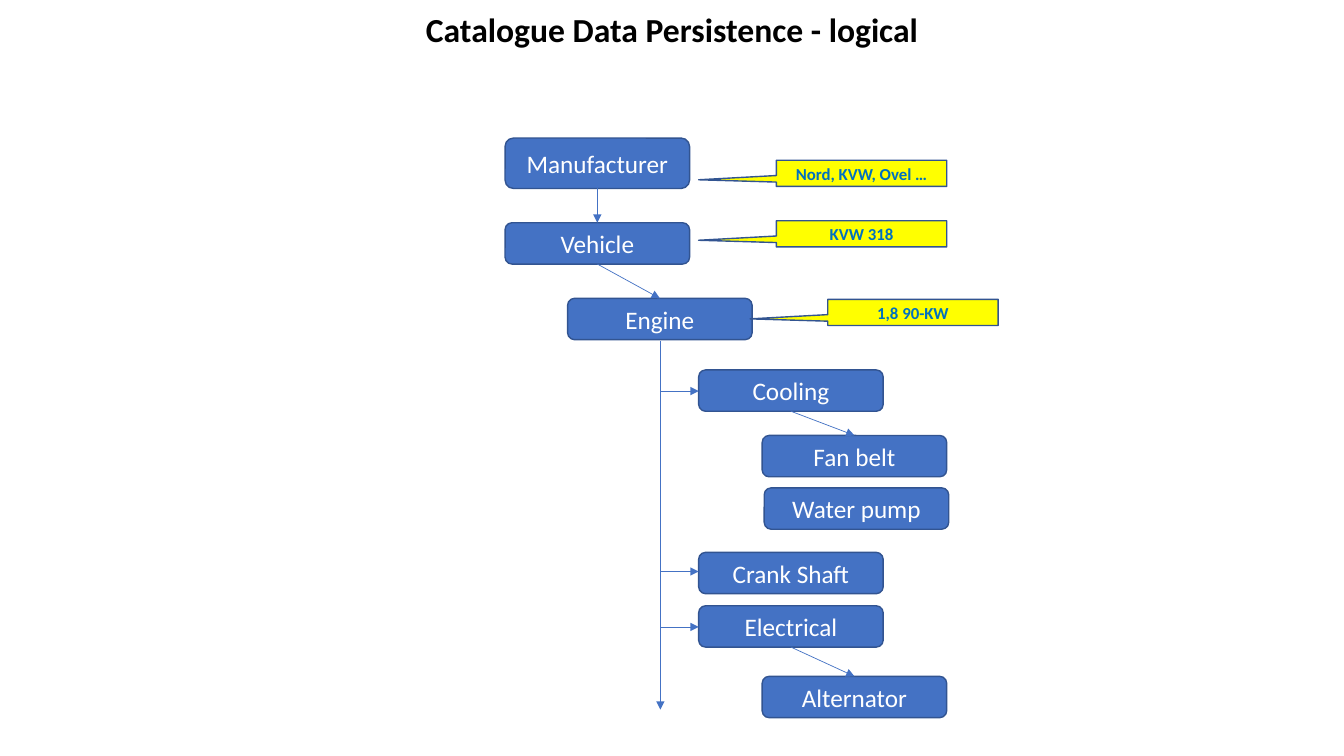
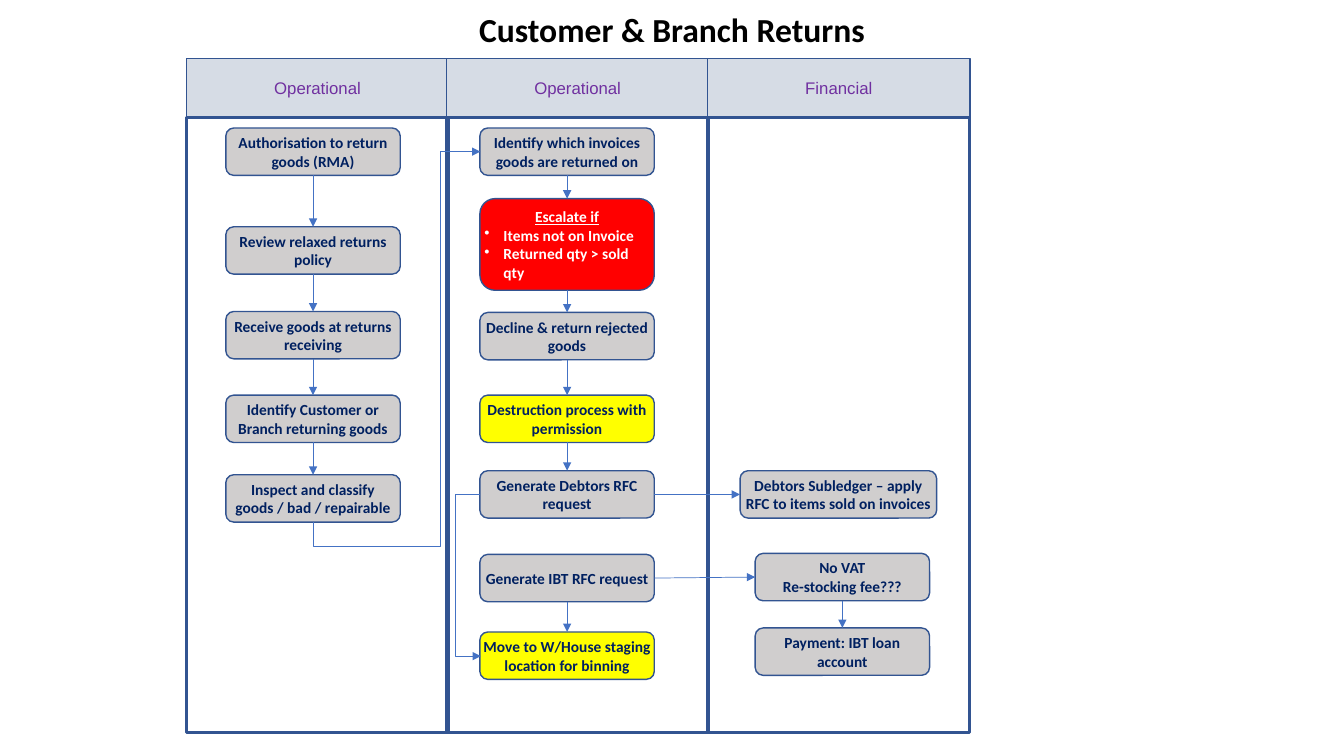
"""Build two slides: a catalogue hierarchy and a returns flow chart."""
from itertools import pairwise

from lxml import etree
from pptx import Presentation
from pptx import util as u
from pptx.dml.color import RGBColor
from pptx.enum import shapes, text
from pptx.oxml import ns

BLACK = RGBColor(0x00, 0x00, 0x00)
WHITE = RGBColor(0xFF, 0xFF, 0xFF)
BLUE = RGBColor(0x44, 0x72, 0xC4)
OUTLINE = RGBColor(0x32, 0x54, 0x91)
SKY = RGBColor(0x00, 0x70, 0xC0)
NAVY = RGBColor(0x00, 0x20, 0x60)
PURPLE = RGBColor(0x70, 0x30, 0xA0)
PALE = RGBColor(0xD6, 0xDC, 0xE5)
GREY = RGBColor(0xD0, 0xCE, 0xCE)
YELLOW = RGBColor(0xFF, 0xFF, 0x00)
RED = RGBColor(0xFF, 0x00, 0x00)

ROUNDED = shapes.MSO_SHAPE.ROUNDED_RECTANGLE
STRAIGHT = shapes.MSO_CONNECTOR.STRAIGHT
ELBOW = shapes.MSO_CONNECTOR.ELBOW
TOP, LEFT, BOTTOM, RIGHT = range(4)


def add_box(slide, kind, place, fill, words="", size=11, color=NAVY,
            bold=False, font="Calibri", side_inset=0.1, line_width=1):
    shape = slide.shapes.add_shape(kind, *map(u.Inches, place))
    shape.shadow.inherit = False
    if fill is None:
        shape.fill.background()
    else:
        shape.fill.solid()
        shape.fill.fore_color.rgb = fill
    shape.line.color.rgb = OUTLINE
    shape.line.width = u.Pt(line_width)
    frame = shape.text_frame
    frame.word_wrap = True
    frame.vertical_anchor = text.MSO_ANCHOR.MIDDLE
    frame.margin_left = frame.margin_right = u.Inches(side_inset)
    frame.text = words
    for paragraph in frame.paragraphs:
        paragraph.alignment = text.PP_ALIGN.CENTER
        paragraph.font.name = font
        paragraph.font.size = u.Pt(size)
        paragraph.font.bold = bold
        paragraph.font.color.rgb = color
    return shape


def add_arrow(slide, begin=(0, 0), end=(0, 0), kind=STRAIGHT):
    connector = slide.shapes.add_connector(kind, *map(u.Inches, (*begin, *end)))
    connector.line.color.rgb = BLUE
    connector.line.width = u.Pt(0.5)
    outline = connector.line._get_or_add_ln()
    etree.SubElement(outline, ns.qn("a:tailEnd"), type="triangle")
    etree.SubElement(connector._element.spPr, ns.qn("a:effectLst"))
    return connector


presentation = Presentation()
presentation.slide_width = u.Inches(13.33)
presentation.slide_height = u.Inches(7.5)
title_layout = presentation.slide_layouts[5]
layout_title = title_layout.placeholders[0]
layout_title.left, layout_title.top = 0, u.Inches(0.04)
layout_title.width, layout_title.height = presentation.slide_width, u.Inches(0.5)

slides = []
for heading in ("Catalogue Data Persistence - logical", "Customer & Branch Returns"):
    slide = presentation.slides.add_slide(title_layout)
    title = slide.shapes.title
    title.text = heading
    title.text_frame.auto_size = text.MSO_AUTO_SIZE.NONE
    title.text_frame.vertical_anchor = text.MSO_ANCHOR.TOP
    paragraph = title.text_frame.paragraphs[0]
    paragraph.alignment = text.PP_ALIGN.CENTER
    paragraph.font.name = "Calibri"
    paragraph.font.size = u.Pt(24)
    paragraph.font.bold = True
    paragraph.font.color.rgb = BLACK
    slides.append(slide)
catalogue, returns = slides

parts = {}
for name, left, top, height in (
    ("Manufacturer", 5.01, 1.37, 0.5),
    ("Vehicle", 5.01, 2.21, 0.41),
    ("Engine", 5.63, 2.96, 0.41),
    ("Cooling", 6.93, 3.67, 0.41),
    ("Fan belt", 7.56, 4.32, 0.41),
    ("Water pump", 7.58, 4.84, 0.41),
    ("Crank Shaft", 6.93, 5.48, 0.41),
    ("Electrical", 6.93, 6.01, 0.41),
    ("Alternator", 7.56, 6.71, 0.41),
):
    parts[name] = add_box(catalogue, ROUNDED, (left, top, 1.83, height), BLUE,
                          name, size=18, color=WHITE)

for words, left, top in (
    ("Nord, KVW, Ovel …", 7.7, 1.59),
    ("KVW 318", 7.7, 2.19),
    ("1,8 90-KW", 8.21, 2.97),
):
    callout = add_box(catalogue, shapes.MSO_SHAPE.RECTANGULAR_CALLOUT,
                      (left, top, 1.69, 0.26), YELLOW, words, size=12,
                      color=SKY, bold=True, side_inset=0)
    callout.text_frame.margin_top = callout.text_frame.margin_bottom = 0
    callout.adjustments[0] = -0.956
    callout.adjustments[1] = 0.246

for parent, child in (("Manufacturer", "Vehicle"), ("Vehicle", "Engine"),
                      ("Cooling", "Fan belt"), ("Electrical", "Alternator")):
    arrow = add_arrow(catalogue)
    arrow.begin_connect(parts[parent], BOTTOM)
    arrow.end_connect(parts[child], TOP)

add_arrow(catalogue, (6.55, 3.38), (6.55, 7.04))
for branch_top in (3.88, 5.67, 6.22):
    add_arrow(catalogue, (6.55, branch_top), (6.93, branch_top))

for lane, left in (("Operational", 1.85), ("Operational", 4.43), ("Financial", 7.02)):
    add_box(returns, shapes.MSO_SHAPE.FLOWCHART_PROCESS, (left, 0.58, 2.6, 0.59),
            PALE, lane, size=12, color=PURPLE, font="Arial")
    add_box(returns, shapes.MSO_SHAPE.RECTANGLE, (left, 1.17, 2.6, 6.1), None,
            line_width=2)

columns = (
    (2.24, (
        ("Authorisation to return goods (RMA)", 1.27, GREY),
        ("Review relaxed returns policy", 2.25, GREY),
        ("Receive goods at returns receiving", 3.09, GREY),
        ("Identify Customer or Branch returning goods", 3.92, GREY),
        ("Inspect and classify goods / bad / repairable", 4.71, GREY),
    )),
    (4.76, (
        ("Identify which invoices goods are returned on", 1.27, GREY),
        ("Escalate if\nItems not on Invoice\nReturned qty > sold qty", 1.97, RED),
        ("Decline & return rejected goods", 3.1, GREY),
        ("Destruction process with permission", 3.92, YELLOW),
        ("Generate Debtors RFC request", 4.67, GREY),
        ("Generate IBT RFC request", 5.5, GREY),
        ("Move to W/House staging location for binning", 6.27, YELLOW),
    )),
    (7.49, (
        ("Debtors Subledger – apply RFC to items sold on invoices", 4.67, GREY),
        ("No VAT\nRe-stocking fee???", 5.49, GREY),
        ("Payment: IBT loan account", 6.23, GREY),
    )),
)
lanes = []
for left, steps in columns:
    lanes.append([
        add_box(returns, ROUNDED, (left, top, 1.73, 0.91 if fill == RED else 0.47),
                fill, words, color=WHITE if fill == RED else NAVY, bold=True,
                side_inset=0)
        for words, top, fill in steps
    ])
receiving, invoicing, finance = lanes

subledger = finance[0]
subledger.left, subledger.width = u.Inches(7.34), u.Inches(1.95)

caption, *conditions = invoicing[1].text_frame.paragraphs
caption.font.underline = True
for paragraph in conditions:
    paragraph.alignment = text.PP_ALIGN.LEFT
    properties = paragraph._p.get_or_add_pPr()
    properties.set("marL", str(u.Inches(0.19)))
    properties.set("indent", str(u.Inches(-0.19)))
    bullet = etree.Element(ns.qn("a:buChar"), char="•")
    properties.insert(0, bullet)

downward = [*pairwise(receiving), *pairwise(invoicing[:5]),
            *pairwise(invoicing[5:]), *pairwise(finance[1:])]
links = [(upper, BOTTOM, lower, TOP) for upper, lower in downward]
links += [(request, RIGHT, entry, LEFT)
          for request, entry in zip(invoicing[4:6], finance)]
for begin, begin_site, end, end_site in links:
    arrow = add_arrow(returns)
    arrow.begin_connect(begin, begin_site)
    arrow.end_connect(end, end_site)

to_invoices = add_arrow(returns, (5.77, 4.17), (2.1, 2.51), ELBOW)
to_invoices._element.spPr.find(ns.qn("a:xfrm")).set("rot", "5400000")
to_staging = add_arrow(returns, (4.76, 4.9), (4.77, 6.51), ELBOW)
for connector, preset, bends in (
    (to_invoices, "bentConnector4", (-6800, 76100)),
    (to_staging, "bentConnector3", (-2500000,)),
):
    geometry = connector._element.spPr.find(ns.qn("a:prstGeom"))
    geometry.set("prst", preset)
    guides = geometry.find(ns.qn("a:avLst"))
    for number, bend in enumerate(bends, 1):
        etree.SubElement(guides, ns.qn("a:gd"), name=f"adj{number}", fmla=f"val {bend}")

presentation.save("out.pptx")
